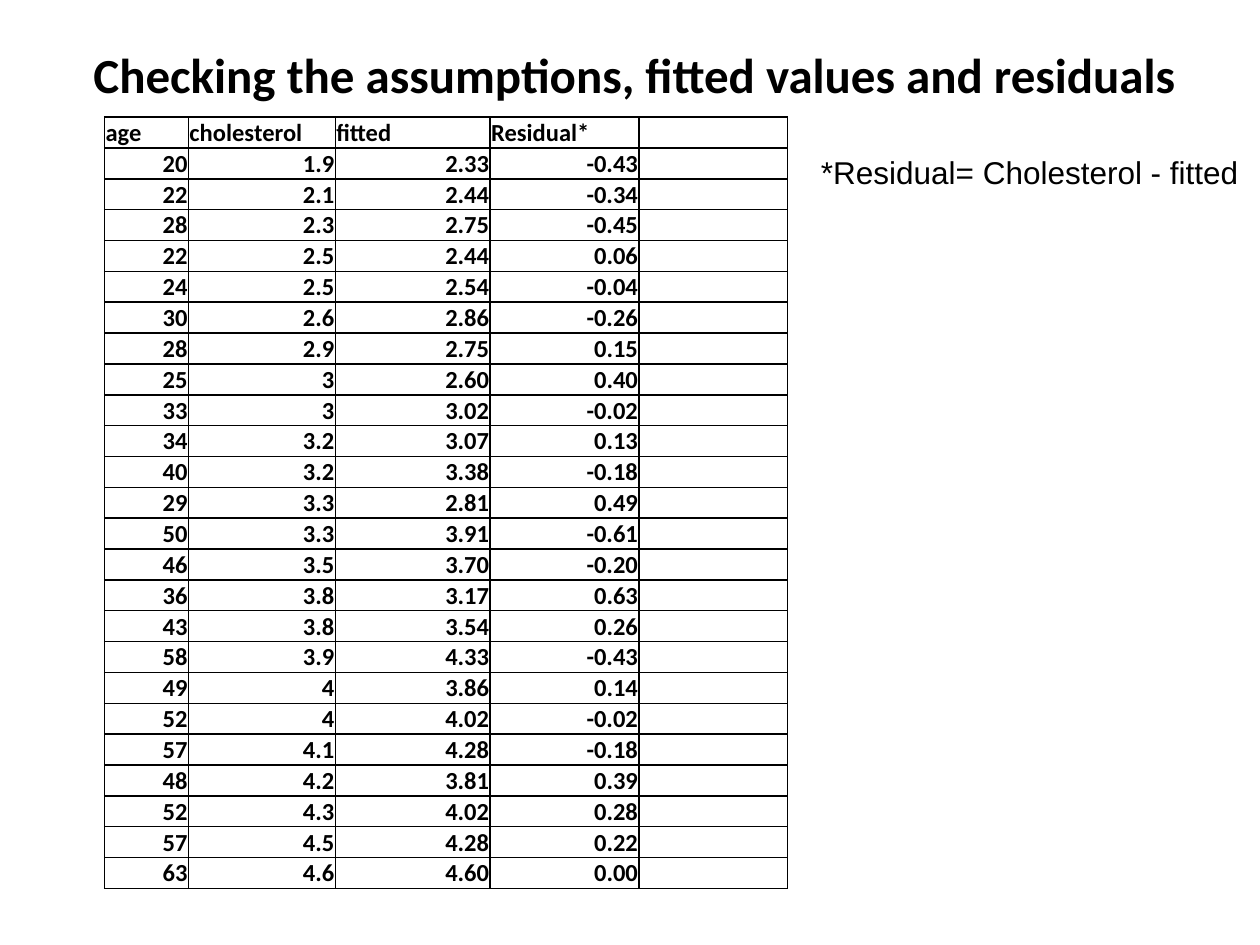
from lxml import etree
from pptx import Presentation
from pptx.dml.color import RGBColor
from pptx.enum import text
from pptx.oxml import ns
from pptx.util import Cm, Pt

BLACK = "000000"
HEADINGS = ["age", "cholesterol", "fitted", "Residual*", ""]
COLUMN_WIDTHS = [1.69, 2.96, 3.12, 3.0, 3.0]
ROW_HEIGHT = 0.61

# Age, cholesterol, fitted value
OBSERVATIONS = [
    (20, 1.9, 2.33), (22, 2.1, 2.44), (28, 2.3, 2.75), (22, 2.5, 2.44),
    (24, 2.5, 2.54), (30, 2.6, 2.86), (28, 2.9, 2.75), (25, 3, 2.60),
    (33, 3, 3.02), (34, 3.2, 3.07), (40, 3.2, 3.38), (29, 3.3, 2.81),
    (50, 3.3, 3.91), (46, 3.5, 3.70), (36, 3.8, 3.17), (43, 3.8, 3.54),
    (58, 3.9, 4.33), (49, 4, 3.86), (52, 4, 4.02), (57, 4.1, 4.28),
    (48, 4.2, 3.81), (52, 4.3, 4.02), (57, 4.5, 4.28), (63, 4.6, 4.60),
]


def color(hex_code):
    return RGBColor.from_string(hex_code)


def style(paragraph, font_name, size, bold, align):
    paragraph.alignment = align
    paragraph.font.name = font_name
    paragraph.font.size = Pt(size)
    paragraph.font.bold = bold
    paragraph.font.color.rgb = color(BLACK)


def place(shape, left, top, width, height):
    shape.left, shape.top = Cm(left), Cm(top)
    shape.width, shape.height = Cm(width), Cm(height)


def add_borders(cell, hex_code, width):
    properties = cell._tc.get_or_add_tcPr()
    for index, side in enumerate(("lnL", "lnR", "lnT", "lnB")):
        line = etree.Element(ns.qn(f"a:{side}"), w=str(Pt(width)))
        fill = etree.SubElement(line, ns.qn("a:solidFill"))
        etree.SubElement(fill, ns.qn("a:srgbClr"), val=hex_code)
        properties.insert(index, line)


def fill_cell(cell, content, align):
    cell.fill.background()
    cell.margin_left = cell.margin_right = cell.margin_top = Cm(0.02)
    cell.margin_bottom = 0
    cell.vertical_anchor = text.MSO_ANCHOR.BOTTOM
    paragraph = cell.text_frame.paragraphs[0]
    if content:
        paragraph.text = content
    else:
        # An empty cell takes its line height from the end mark
        etree.SubElement(paragraph._p, ns.qn("a:endParaRPr"), sz="1400")
    style(paragraph, "Calibri", 14, True, align)
    add_borders(cell, BLACK, 1)


def add_title(slide, wording):
    title = slide.shapes.title
    place(title, 1.24, 0.64, 23.09, 1.7)
    frame = title.text_frame
    frame.text = wording
    frame.auto_size = text.MSO_AUTO_SIZE.NONE
    frame.vertical_anchor = text.MSO_ANCHOR.MIDDLE
    style(frame.paragraphs[0], "Calibri", 28, True, text.PP_ALIGN.CENTER)


def add_residual_table(slide):
    rows = [HEADINGS] + [
        [str(age), f"{cholesterol:g}", f"{fitted:.2f}",
         f"{cholesterol - fitted:.2f}", ""]
        for age, cholesterol, fitted in OBSERVATIONS
    ]
    residuals = slide.shapes.add_table(
        len(rows), len(HEADINGS), Cm(2.11), Cm(2.36),
        Cm(sum(COLUMN_WIDTHS)), Cm(ROW_HEIGHT * len(rows))).table
    residuals.horz_banding = False
    for column, width in zip(residuals.columns, COLUMN_WIDTHS):
        column.width = Cm(width)
    for row_index, row in enumerate(rows):
        residuals.rows[row_index].height = Cm(ROW_HEIGHT)
        align = text.PP_ALIGN.RIGHT if row_index else text.PP_ALIGN.LEFT
        for column_index, content in enumerate(row):
            fill_cell(residuals.cell(row_index, column_index), content, align)


def add_footnote(slide, wording):
    footnote = slide.shapes.add_textbox(Cm(16.3), Cm(2.97), Cm(9.1), Cm(1.02))
    frame = footnote.text_frame
    frame.word_wrap = True
    frame.auto_size = text.MSO_AUTO_SIZE.SHAPE_TO_FIT_TEXT
    frame.text = wording
    style(frame.paragraphs[0], "Arial", 18, False, text.PP_ALIGN.LEFT)
    # The wording runs up to the slide's right edge
    frame.margin_right = 0


def main():
    deck = Presentation()
    deck.slide_width, deck.slide_height = Cm(25.4), Cm(19.05)
    slide = deck.slides.add_slide(deck.slide_layouts[5])
    add_residual_table(slide)
    add_title(slide, "Checking the assumptions, fitted values and residuals")
    add_footnote(slide, "*Residual= Cholesterol - fitted")
    deck.save("out.pptx")


main()
